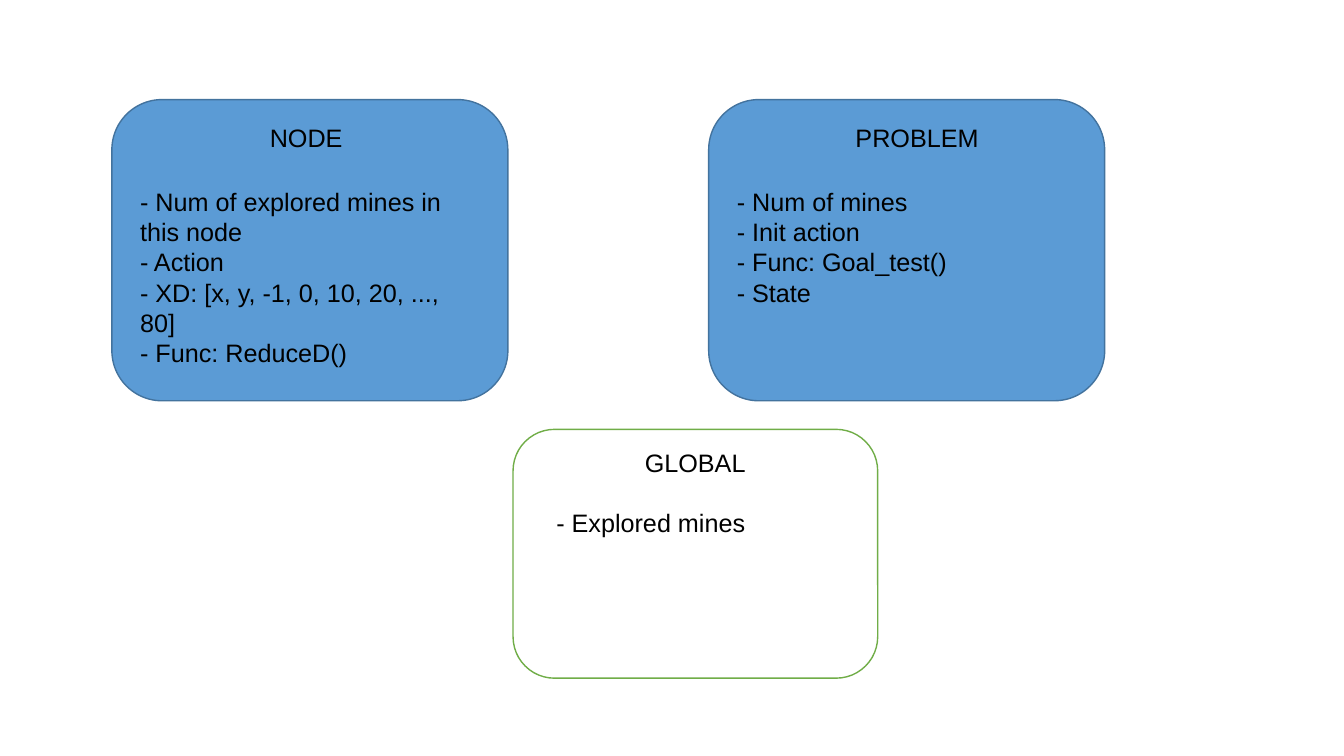
from pptx import Presentation
from pptx.dml.color import RGBColor
from pptx.enum.shapes import MSO_SHAPE as Shape
from pptx.enum.text import MSO_AUTO_SIZE as AutoSize
from pptx.util import Cm, Pt

COLORS = {"blue": "5B9BD5", "navy": "43739E", "green": "70AD47",
          "white": "FFFFFF", "black": "000000"}


class Board:
    """Draws rounded cards and their text on one slide."""

    def __init__(self, slide, font="Arial", size=18):
        self.shapes = slide.shapes
        self.font = font
        self.size = Pt(size)

    def color(self, name):
        return RGBColor.from_string(COLORS[name])

    def card(self, box, fill, outline):
        card = self.shapes.add_shape(Shape.ROUNDED_RECTANGLE, *map(Cm, box))
        card.shadow.inherit = False
        card.fill.solid()
        card.fill.fore_color.rgb = self.color(fill)
        card.line.color.rgb = self.color(outline)
        card.line.width = Pt(1)

    def text(self, box, lines, wrap=False):
        frame = self.shapes.add_textbox(*map(Cm, box)).text_frame
        frame.word_wrap = wrap
        frame.auto_size = AutoSize.SHAPE_TO_FIT_TEXT
        for index, line in enumerate(lines):
            paragraph = frame.add_paragraph() if index else frame.paragraphs[0]
            run = paragraph.add_run()
            run.text = line
            run.font.name = self.font
            run.font.size = self.size
            run.font.color.rgb = self.color("black")


def main():
    deck = Presentation()
    deck.slide_width, deck.slide_height = Cm(33.87), Cm(19.05)
    board = Board(deck.slides.add_slide(deck.slide_layouts[6]))

    classes = [
        (2.82, "NODE", 3.73, 2.51, 4.88,
         ["- Num of explored mines in this node", "- Action",
          "- XD: [x, y, -1, 0, 10, 20, ..., 80]", "- Func: ReduceD()"]),
        (17.86, "PROBLEM", 3.45, 3.61, 3.33,
         ["- Num of mines", "- Init action", "- Func: Goal_test()", "- State"]),
    ]
    for left, heading, indent, heading_width, members_height, members in classes:
        board.card((left, 2.51, 9.98, 7.59), "blue", "navy")
        board.text((left + indent, 2.95, heading_width, 1.02), [heading])
        board.text((left + 0.46, 4.57, 9.09, members_height), members, wrap=True)

    board.card((12.93, 10.82, 9.19, 6.27), "white", "green")
    board.text((16, 11.15, 3.05, 1.02), ["GLOBAL"])
    board.text((13.77, 12.65, 5.28, 1.02), ["- Explored mines"])

    deck.save("out.pptx")


if __name__ == "__main__":
    main()
